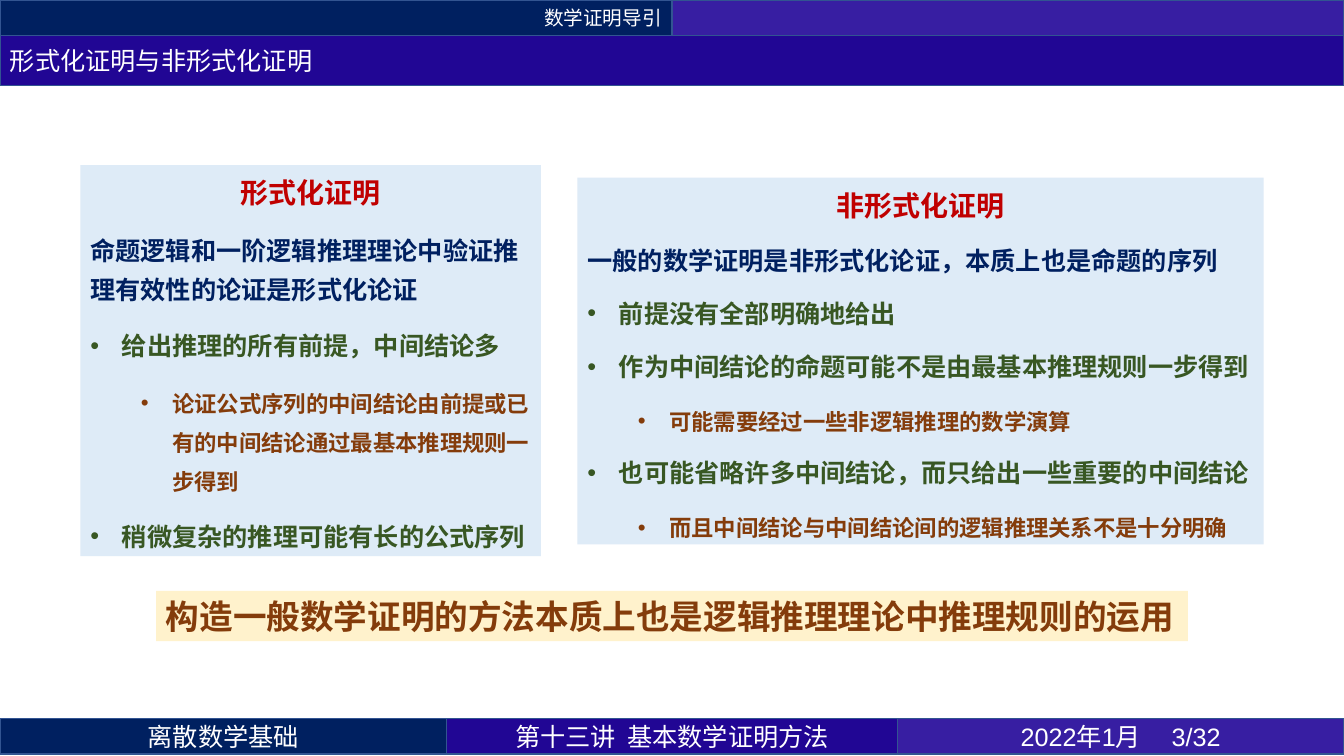
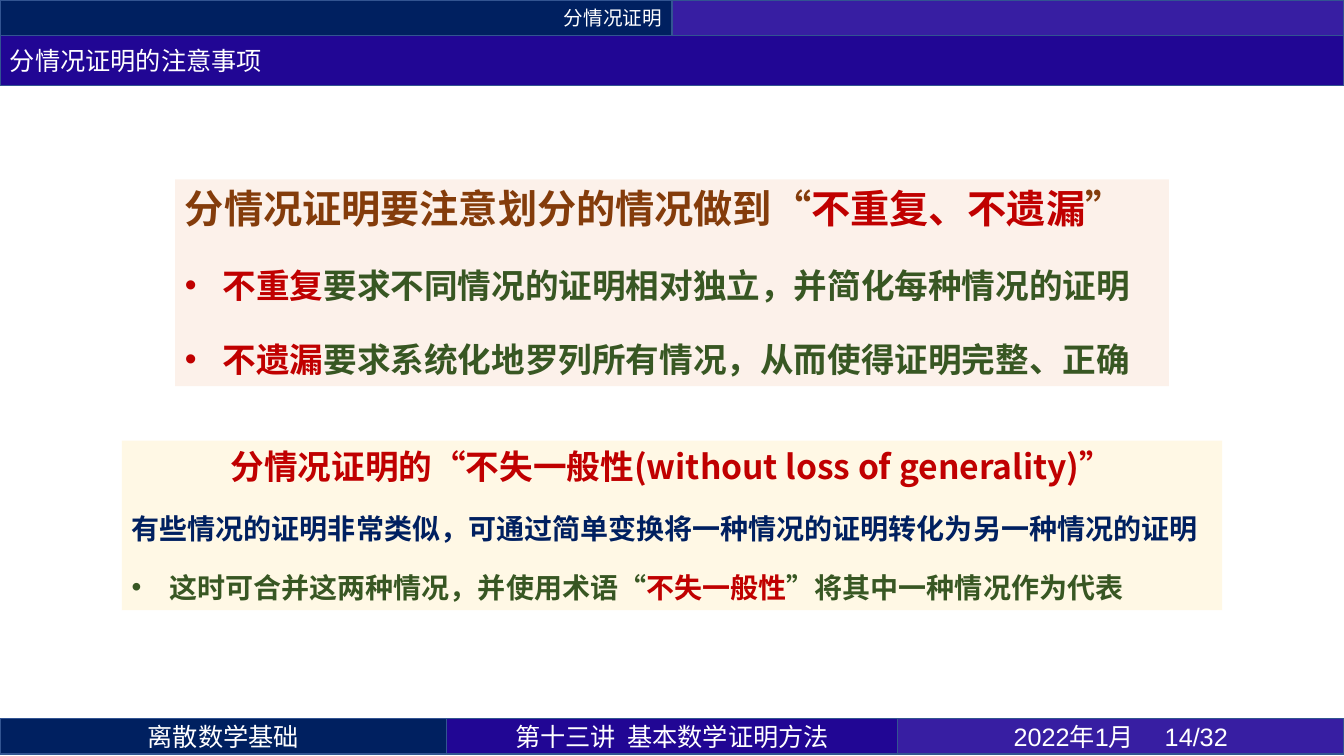
"""Builds two lecture slides on formal proofs and proofs by cases."""
import lxml.etree
import pptx
import pptx.dml.color
import pptx.enum.shapes
import pptx.enum.text
import pptx.oxml.ns
import pptx.util

Pt = pptx.util.Pt
ALIGN = pptx.enum.text.PP_ALIGN
MID = pptx.enum.text.MSO_ANCHOR.MIDDLE
GROW = pptx.enum.text.MSO_AUTO_SIZE.SHAPE_TO_FIT_TEXT
FONT = "Noto Sans CJK SC"
WIDTH, HEIGHT = 960, 540
BAND = 25.2
FOOT = 513.4
COLORS = {
    "navy": "002060", "indigo": "210694", "violet": "371EA2", "edge": "325491",
    "white": "FFFFFF", "red": "C00000", "green": "385723", "brown": "843C0B",
    "sky": "DEEBF7", "cream": "FFF2CC", "peach": "FBE5D6",
}


def color(name):
    return pptx.dml.color.RGBColor.from_string(COLORS[name])


def add_node(parent, tag, **attrs):
    return lxml.etree.SubElement(parent, pptx.oxml.ns.qn(tag), **attrs)


def write(frame, text, size=18, hue="white", bold=True, face=FONT, align=ALIGN.LEFT,
          lead=None, before=0, after=0, left=0, hang=0, level=0):
    """Adds a paragraph; text is a string or a list of (string, colour) runs."""
    first = not frame.paragraphs[0].runs
    para = frame.paragraphs[0] if first else frame.add_paragraph()
    para.alignment = align
    para.level = level
    para.space_before = Pt(0 if first else before)
    para.space_after = Pt(after)
    if lead:
        para.line_spacing = Pt(lead)
    if hang:
        props = para._p.get_or_add_pPr()
        props.set("marL", str(Pt(left)))
        props.set("indent", str(-Pt(hang)))
        add_node(props, "a:buFont", typeface="Arial")
        add_node(props, "a:buChar", char="•")
    for words, tint in [(text, hue)] if isinstance(text, str) else text:
        run = para.add_run()
        run.text = words
        run.font.size = Pt(size)
        run.font.bold = bold
        run.font.color.rgb = color(tint)
        run.font.name = face
        add_node(run._r.get_or_add_rPr(), "a:ea", typeface=FONT)


def add_box(slide, left, top, width, height, fill, alpha=None):
    kind = pptx.enum.shapes.MSO_SHAPE.RECTANGLE
    box = slide.shapes.add_shape(kind, Pt(left), Pt(top), Pt(width), Pt(height))
    box.shadow.inherit = False
    box.fill.solid()
    box.fill.fore_color.rgb = color(fill)
    if alpha:
        tone = box._element.spPr.find(".//" + pptx.oxml.ns.qn("a:srgbClr"))
        add_node(tone, "a:alpha", val=str(alpha * 1000))
    box.line.fill.background()
    box.text_frame.word_wrap = True
    return box


def add_band(slide, left, top, width, height, fill, text="", **form):
    box = add_box(slide, left, top, width, height, fill)
    box.line.color.rgb = color("edge")
    box.line.width = Pt(1)
    box.text_frame.vertical_anchor = MID
    if text:
        write(box.text_frame, text, bold=False, **form)


def add_panel(slide, left, top, width, height, fill, paras, alpha=None):
    frame = add_box(slide, left, top, width, height, fill, alpha).text_frame
    frame.vertical_anchor = pptx.enum.text.MSO_ANCHOR.TOP
    frame.auto_size = GROW
    for text, form in paras:
        write(frame, text, **form)


def add_page(deck, part, title, number):
    slide = deck.slides.add_slide(deck.slide_layouts[6])
    half = WIDTH / 2
    add_band(slide, 0, 0, half, BAND, "navy", part, size=14, align=ALIGN.RIGHT)
    add_band(slide, half, 0, half, BAND, "violet")
    feet = [
        (319, "navy", "离散数学基础", FONT),
        (322, "indigo", "第十三讲  基本数学证明方法", FONT),
        (319, "violet", f"2022年1月 \t{number}/32", "Arial"),
    ]
    left = 0
    for width, fill, text, face in feet:
        add_band(slide, left, FOOT, width, BAND, fill, text, face=face, align=ALIGN.CENTER)
        left += width
    add_band(slide, 0, BAND, WIDTH, 36, "indigo", title)
    return slide


def add_forms(deck):
    slide = add_page(deck, "数学证明导引", "形式化证明与非形式化证明", 3)
    gap = dict(before=6, after=6)
    head = dict(gap, size=20, hue="red", align=ALIGN.CENTER, lead=28)

    def styles(lead):
        lines = dict(gap, lead=lead)
        return (dict(lines, hue="navy"),
                dict(lines, hue="green", left=22.5, hang=22.5),
                dict(lines, hue="brown", size=16, left=58.5, hang=22.5, level=1))

    lede, item, sub = styles(28)
    add_panel(slide, 57.5, 118, 329, 279.2, "sky", [
        ("形式化证明", head),
        ("命题逻辑和一阶逻辑推理理论中验证推理有效性的论证是形式化论证", lede),
        ("给出推理的所有前提，中间结论多", item),
        ("论证公式序列的中间结论由前提或已有的中间结论通过最基本推理规则一步得到", sub),
        ("稍微复杂的推理可能有长的公式序列", item),
    ])
    lede, item, sub = styles(26)
    add_panel(slide, 412.5, 126.9, 490.2, 262, "sky", [
        ("非形式化证明", head),
        ("一般的数学证明是非形式化论证，本质上也是命题的序列", lede),
        ("前提没有全部明确地给出", item),
        ("作为中间结论的命题可能不是由最基本推理规则一步得到", item),
        ("可能需要经过一些非逻辑推理的数学演算", sub),
        ("也可能省略许多中间结论，而只给出一些重要的中间结论", item),
        ("而且中间结论与中间结论间的逻辑推理关系不是十分明确", sub),
    ])
    add_panel(slide, 111.5, 422, 737, 36, "cream", [
        ("构造一般数学证明的方法本质上也是逻辑推理理论中推理规则的运用",
         dict(size=24, hue="brown")),
    ])


def add_cases(deck):
    slide = add_page(deck, "分情况证明", "分情况证明的注意事项", 14)
    wide = dict(before=12, after=12)
    item = dict(wide, size=24, left=27, hang=27)
    add_panel(slide, 125, 128.2, 710, 147.6, "peach", [
        ([("分情况证明要注意划分的情况做到“", "brown"), ("不重复、不遗漏", "red"),
          ("”", "brown")], dict(wide, size=28)),
        ([("不重复", "red"),
          ("要求不同情况的证明相对独立，并简化每种情况的证明", "green")], item),
        ([("不遗漏", "red"),
          ("要求系统化地罗列所有情况，从而使得证明完整、正确", "green")], item),
    ], alpha=50)
    snug = dict(before=12, after=6)
    add_panel(slide, 87, 314.8, 786, 121, "cream", [
        ("分情况证明的“不失一般性(without loss of generality)”",
         dict(snug, size=24, hue="red", align=ALIGN.CENTER)),
        ("有些情况的证明非常类似，可通过简单变换将一种情况的证明转化为另一种情况的证明",
         dict(snug, size=20, hue="navy")),
        ([("这时可合并这两种情况，并使用术语“", "green"), ("不失一般性", "red"),
          ("”将其中一种情况作为代表", "green")], dict(snug, size=20, left=27, hang=27)),
    ], alpha=50)


def main():
    deck = pptx.Presentation()
    deck.slide_width, deck.slide_height = Pt(WIDTH), Pt(HEIGHT)
    add_forms(deck)
    add_cases(deck)
    deck.save("out.pptx")


if __name__ == "__main__":
    main()
